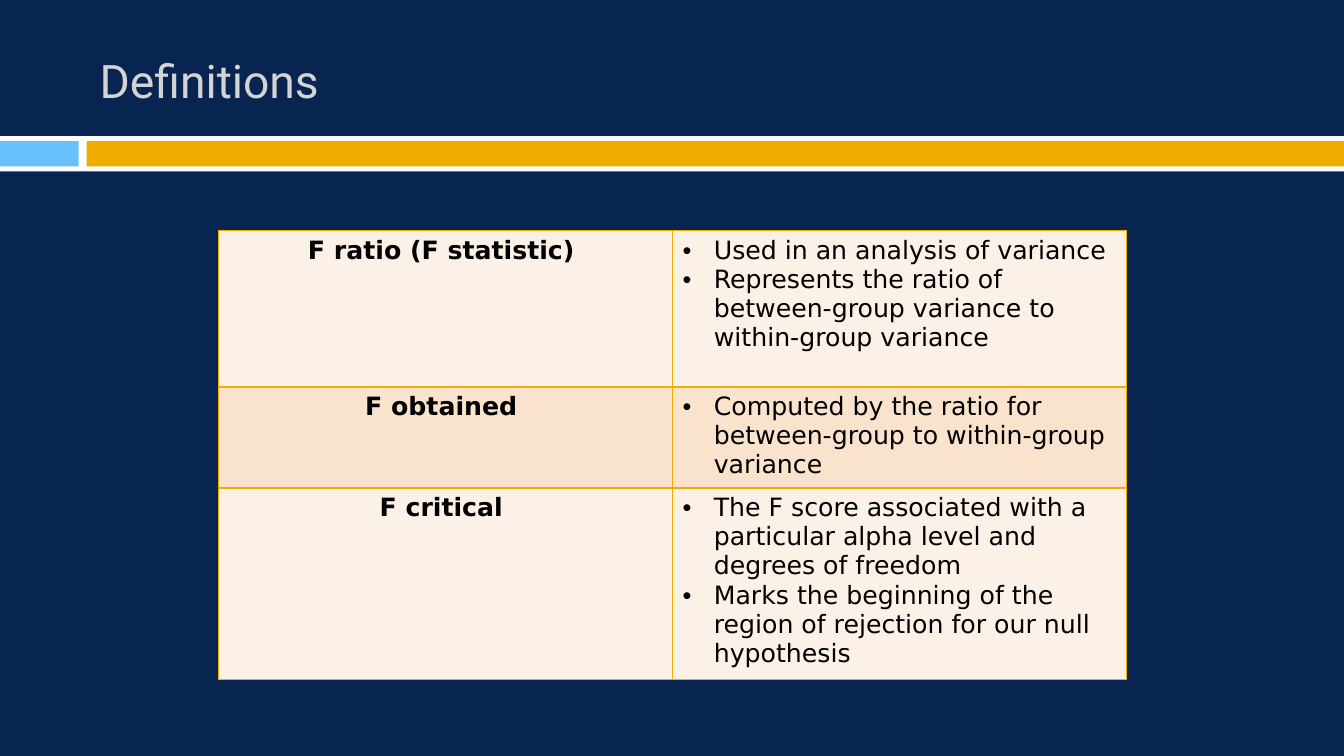
from dataclasses import dataclass
from lxml import etree
from pptx import Presentation, util as u
from pptx.dml.color import RGBColor
from pptx.enum import shapes, text
from pptx.oxml.ns import qn


@dataclass(frozen=True)
class Theme:
    navy: str = "082551"
    white: str = "FFFFFF"
    blue: str = "69C0FF"
    gold: str = "F0AD00"
    grey: str = "D4D4D6"
    black: str = "000000"
    bands: tuple = ("FCF1E7", "F9E3CC")
    head: str = "Roboto"
    body: str = "DejaVu Sans"
    big: int = 33
    small: int = 18


T = Theme()
WIDE, HIGH = 13.33, 7.5
TERMS = [
    ("F ratio (F statistic) ", 1.55,
     ["Used in an analysis of variance",
      "Represents the ratio of between-group variance to within-group variance"]),
    ("F obtained ", 0.97,
     ["Computed by the ratio for between-group to within-group variance"]),
    ("F critical ", 1.84,
     ["The F score associated with a particular alpha level and degrees of freedom",
      "Marks the beginning of the region of rejection for our null hypothesis"]),
]


def rgb(hue):
    return RGBColor.from_string(hue)


def style(para, font, size, hue, bold=False):
    for run in para.runs:
        run.font.name, run.font.size = font, u.Pt(size)
        run.font.bold, run.font.color.rgb = bold, rgb(hue)


def bar(slide, x, y, w, h, hue):
    rect = slide.shapes.add_shape(shapes.MSO_SHAPE.RECTANGLE, *map(u.Inches, (x, y, w, h)))
    rect.shadow.inherit = False
    rect.fill.solid()
    rect.fill.fore_color.rgb = rgb(hue)
    rect.line.fill.background()


def band(slide, x, y, w, h):
    """White strip holding a short blue bar and a long gold one."""
    pad, short, gap = 0.05, 0.78, 0.08
    bar(slide, x, y, w, h, T.white)
    bar(slide, x, y + pad, short, h - 2 * pad, T.blue)
    bar(slide, x + short + gap, y + pad, w - short - gap, h - 2 * pad, T.gold)


def title(slide, x, y, w, h, words):
    frame = slide.shapes.add_textbox(*map(u.Inches, (x, y, w, h))).text_frame
    frame.word_wrap = True
    frame.vertical_anchor = text.MSO_ANCHOR.MIDDLE
    frame.text = words
    style(frame.paragraphs[0], T.head, T.big, T.grey)


def border(cell):
    props = cell._tc.get_or_add_tcPr()
    for at, side in enumerate(("lnL", "lnR", "lnT", "lnB")):
        line = etree.Element(qn("a:" + side), w=str(u.Pt(1)))
        fill = etree.SubElement(line, qn("a:solidFill"))
        etree.SubElement(fill, qn("a:srgbClr"), val=T.gold)
        props.insert(at, line)


def bullet(para, indent=0.31):
    props = para._p.get_or_add_pPr()
    props.set("marL", str(u.Inches(indent)))
    props.set("indent", str(-u.Inches(indent)))
    etree.SubElement(props, qn("a:buFont"), typeface="Arial")
    etree.SubElement(props, qn("a:buChar"), char="•")


def terms(slide, x, y, w, rows):
    """Two equal columns: the term, then its bulleted meaning."""
    high = sum(row[1] for row in rows)
    grid = slide.shapes.add_table(len(rows), 2, *map(u.Inches, (x, y, w, high))).table
    grid.first_row = False
    for i, (term, tall, notes) in enumerate(rows):
        grid.rows[i].height = u.Inches(tall)
        name, sense = grid.cell(i, 0), grid.cell(i, 1)
        name.text, sense.text = term, "\n".join(notes)
        for cell in (name, sense):
            cell.fill.solid()
            cell.fill.fore_color.rgb = rgb(T.bands[i % 2])
            border(cell)
        para = name.text_frame.paragraphs[0]
        para.alignment = text.PP_ALIGN.CENTER
        style(para, T.body, T.small, T.black, bold=True)
        for para in sense.text_frame.paragraphs:
            bullet(para)
            style(para, T.body, T.small, T.black)


def main():
    deck = Presentation()
    deck.slide_width, deck.slide_height = u.Inches(WIDE), u.Inches(HIGH)
    slide = deck.slides.add_slide(deck.slide_layouts[6])
    slide.background.fill.solid()
    slide.background.fill.fore_color.rgb = rgb(T.navy)
    band(slide, 0, 1.35, WIDE, 0.35)
    title(slide, 0.89, 0.25, 11.89, 1.08, "Definitions")
    terms(slide, 2.17, 2.29, 9, TERMS)
    deck.save("out.pptx")


if __name__ == "__main__":
    main()
